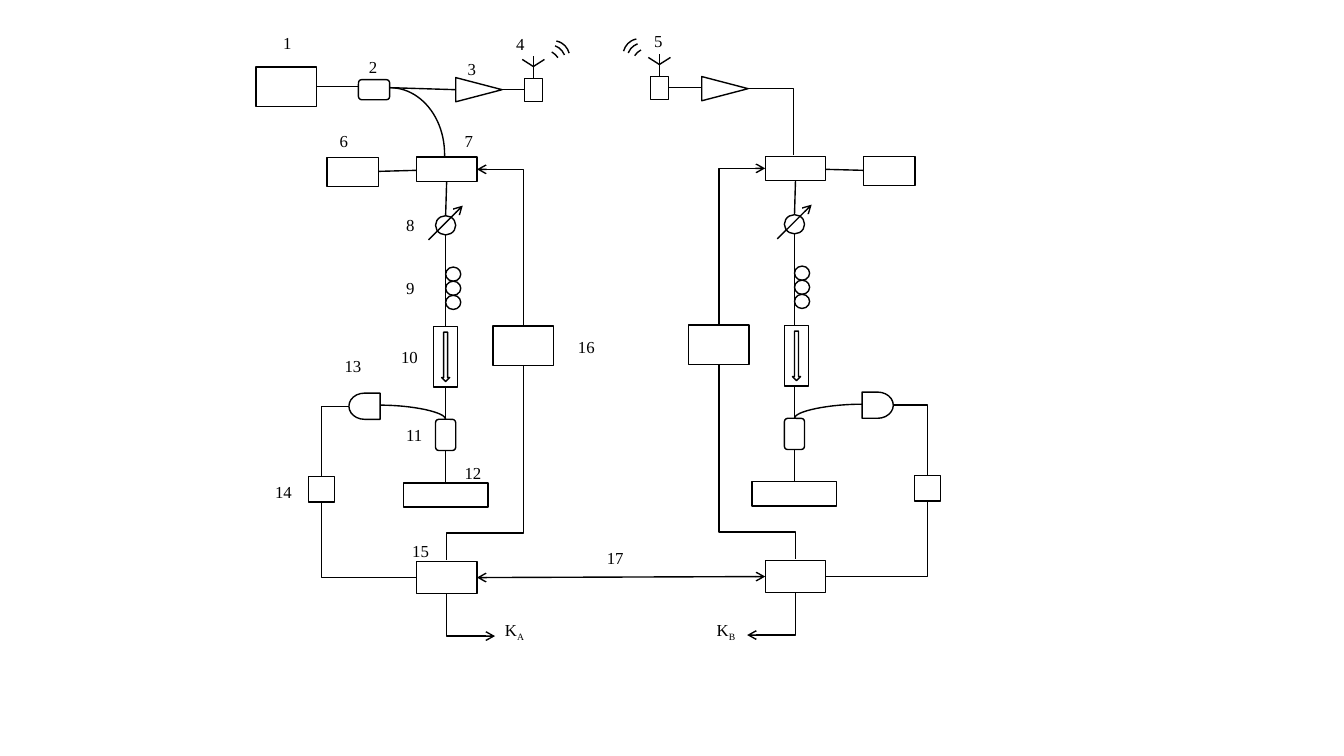
from dataclasses import dataclass

from lxml.etree import SubElement
from pptx import Presentation
from pptx.dml.color import RGBColor
from pptx.enum.shapes import MSO_CONNECTOR, MSO_SHAPE
from pptx.enum.text import MSO_AUTO_SIZE, PP_ALIGN
from pptx.oxml.ns import qn
from pptx.util import Inches, Pt


@dataclass(frozen=True)
class Theme:
    ink: RGBColor = RGBColor(0, 0, 0)
    font: str = "Times New Roman"
    label_size: int = 12
    line_width: int = 1


THEME = Theme()
LEFT, RIGHT = -1, 1

LABELS = [
    ("1", 2.71, 0.28), ("2", 3.56, 0.51), ("3", 4.54, 0.53), ("4", 5.02, 0.29),
    ("5", 6.39, 0.26), ("6", 3.27, 1.25), ("7", 4.51, 1.25), ("8", 3.93, 2.08),
    ("9", 3.93, 2.71), ("10", 3.88, 3.39), ("11", 3.93, 4.16), ("12", 4.51, 4.54),
    ("13", 3.32, 3.48), ("14", 2.63, 4.73), ("15", 3.99, 5.32), ("17", 5.92, 5.38),
]


def add_symbol(slide, kind, center, middle, width, height, rotation=0):
    """Draw an unfilled outline around the given centre point."""
    symbol = slide.shapes.add_shape(
        kind, Inches(center - width / 2), Inches(middle - height / 2),
        Inches(width), Inches(height))
    symbol.rotation = rotation
    symbol.shadow.inherit = False
    symbol.fill.background()
    symbol.line.color.rgb = THEME.ink
    symbol.line.width = Pt(THEME.line_width)
    return symbol


def add_arc(slide, center, middle, width, height, angles, rotation=0, mirrored=False):
    arc = add_symbol(slide, MSO_SHAPE.ARC, center, middle, width, height, rotation)
    arc.adjustments[0], arc.adjustments[1] = angles
    if mirrored:
        arc._element.spPr.find(qn("a:xfrm")).set("flipH", "1")


def add_line(slide, start, end, arrows=(), kind=MSO_CONNECTOR.STRAIGHT):
    """Connect two points; arrows names the ends (headEnd, tailEnd) that get one."""
    line = slide.shapes.add_connector(kind, *(Inches(value) for value in (*start, *end)))
    line.line.color.rgb = THEME.ink
    line.line.width = Pt(THEME.line_width)
    properties = line._element.spPr
    for name in arrows:
        SubElement(properties.find(qn("a:ln")), qn(f"a:{name}"), type="arrow")
    SubElement(properties, qn("a:effectLst"))
    return line


def add_bend(slide, start, end, arrows=(), preset="bentConnector2", turn=None):
    """Connect two points, leaving the start vertically; turn is the share of the way down."""
    across, down = end[0] - start[0], end[1] - start[1]
    center, middle = (start[0] + end[0]) / 2, (start[1] + end[1]) / 2
    half_width, half_height = abs(down) / 2, abs(across) / 2
    bend = add_line(slide, (center - half_width, middle - half_height),
                    (center + half_width, middle + half_height), arrows, MSO_CONNECTOR.ELBOW)
    properties = bend._element.spPr
    frame = properties.find(qn("a:xfrm"))
    frame.set("rot", str((90 if down > 0 else 270) * 60000))
    if across * down > 0:
        frame.set("flipV", "1")
    geometry = properties.find(qn("a:prstGeom"))
    geometry.set("prst", preset)
    if turn is not None:
        guides = geometry.find(qn("a:avLst"))
        if guides is None:
            guides = SubElement(geometry, qn("a:avLst"))
        SubElement(guides, qn("a:gd"), name="adj1", fmla=f"val {round(turn * 100000)}")


def add_label(slide, text, left, top, width=0.44, subscript="", align=PP_ALIGN.LEFT):
    box = slide.shapes.add_textbox(Inches(left), Inches(top), Inches(width), Inches(0.3))
    box.text_frame.word_wrap = True
    box.text_frame.auto_size = MSO_AUTO_SIZE.SHAPE_TO_FIT_TEXT
    para = box.text_frame.paragraphs[0]
    para.text = text
    para.alignment = align
    if subscript:
        span = para.add_run()
        span.text = subscript
        span.font._element.set("baseline", "-25000")
    for span in para.runs:
        span.font.name = THEME.font
        span.font.size = Pt(THEME.label_size)
        span.font.color.rgb = THEME.ink


def draw_forked_box(slide, axis, top, facing):
    """Draw a small box with a forked line on top and three arcs beside it."""
    add_symbol(slide, MSO_SHAPE.RECTANGLE, axis, top + 0.115, 0.18, 0.23)
    add_line(slide, (axis, top), (axis, top - 0.22))
    for side in (LEFT, RIGHT):
        add_line(slide, (axis, top - 0.12), (axis + side * 0.11, top - 0.19))
    arcs = [(0.2, 0, (167.91, 206.94)), (0.16, 20, (162, 189.87)), (0.11, -33, (197.86, 0))]
    for distance, rotation, angles in arcs:
        add_arc(slide, axis + facing * distance, top - distance - 0.01, 0.32, 0.33,
                angles, facing * rotation % 360, facing == LEFT)


def draw_left_row(slide, left, top):
    """Place the shapes labelled 1 to 4 and the arc leading down."""
    middle = top + 0.23
    add_symbol(slide, MSO_SHAPE.RECTANGLE, left + 0.3, top + 0.2, 0.6, 0.39)
    add_line(slide, (left + 0.6, top + 0.2), (left + 1.02, top + 0.2))
    add_symbol(slide, MSO_SHAPE.ROUNDED_RECTANGLE, left + 1.17, middle, 0.31, 0.2)
    add_line(slide, (left + 1.33, top + 0.21), (left + 1.98, middle))
    add_arc(slide, left + 1.33, top + 0.87, 1.08, 1.32, (162, 1.43))
    add_symbol(slide, MSO_SHAPE.ISOSCELES_TRIANGLE, left + 2.21, middle, 0.24, 0.46, 90)
    add_line(slide, (left + 2.44, middle), (left + 2.66, middle))
    draw_forked_box(slide, left + 2.75, top + 0.12, RIGHT)


def draw_right_row(slide, left, top):
    """Place the shape labelled 5, the triangle and the line leading down."""
    middle = top + 0.11
    draw_forked_box(slide, left + 0.09, top, LEFT)
    add_line(slide, (left + 0.18, middle), (left + 0.51, middle))
    add_symbol(slide, MSO_SHAPE.ISOSCELES_TRIANGLE, left + 0.74, middle + 0.01, 0.24, 0.46, 90)
    add_bend(slide, (left + 1.42, top + 0.78), (left + 0.97, top + 0.12))


def draw_column(slide, axis, top, side, outer_distance):
    """Draw one column of shapes; side is the direction of its outer branch."""
    line_axis = axis - 0.01
    box = MSO_SHAPE.RECTANGLE
    inner_axis = axis - side * 0.76
    outer_axis = axis + side * outer_distance
    arrow_axis = axis + side * 0.01

    # Top boxes: 6 and 7
    add_symbol(slide, box, axis, top + 0.12, 0.6, 0.24)
    add_symbol(slide, box, axis + side * 0.93, top + 0.145, 0.51, 0.29)
    add_line(slide, (axis + side * 0.3, top + 0.13), (axis + side * 0.67, top + 0.14))

    # Circles and boxed arrow: 8 to 10
    add_line(slide, (axis, top + 0.24), (line_axis, top + 0.58))
    add_symbol(slide, MSO_SHAPE.OVAL, line_axis, top + 0.675, 0.2, 0.19)
    add_line(slide, (line_axis - 0.17, top + 0.82), (line_axis + 0.17, top + 0.48), ["tailEnd"])
    add_line(slide, (line_axis, top + 0.77), (line_axis, top + 1.68))
    for row in range(3):
        add_symbol(slide, MSO_SHAPE.OVAL, line_axis + 0.075, top + 1.16 + row * 0.14, 0.15, 0.14)
    add_symbol(slide, box, arrow_axis, top + 1.98, 0.24, 0.6)
    add_symbol(slide, MSO_SHAPE.DOWN_ARROW, arrow_axis, top + 1.98, 0.08, 0.49)

    # Rounded box and wide box: 11 and 12
    add_line(slide, (line_axis, top + 2.28), (line_axis, top + 2.6))
    add_symbol(slide, MSO_SHAPE.ROUNDED_RECTANGLE, line_axis, top + 2.755, 0.2, 0.31)
    add_line(slide, (line_axis, top + 2.91), (line_axis, top + 3.23))
    add_symbol(slide, box, line_axis, top + 3.35, 0.84, 0.24)

    # Outer branch: 13 to 15
    add_bend(slide, (line_axis, top + 2.6), (axis + side * 0.66, top + 2.46),
             preset="curvedConnector2")
    add_symbol(slide, MSO_SHAPE.FLOWCHART_DELAY, axis + side * 0.815, top + 2.47, 0.31, 0.26,
               180 if side == LEFT else 0)
    add_bend(slide, (outer_axis, top + 3.17), (axis + side * 0.97, top + 2.47))
    add_symbol(slide, box, outer_axis, top + 3.295, 0.26, 0.25)
    add_bend(slide, (outer_axis, top + 3.42), (axis + side * 0.3, top + 4.17))
    add_symbol(slide, box, axis, top + 4.17, 0.6, 0.32)

    # Inner branch: 16, and the arrow to K
    add_symbol(slide, box, inner_axis, top + 1.87, 0.6, 0.39)
    add_bend(slide, (inner_axis, top + 1.67), (axis - side * 0.3, top + 0.12), ["tailEnd"])
    add_bend(slide, (inner_axis, top + 2.06), (axis, top + 4),
             preset="bentConnector3", turn=0.86)
    add_bend(slide, (axis, top + 4.33), (axis - side * 0.48, top + 4.75), ["tailEnd"])


def draw_labels(slide):
    for text, left, top in LABELS:
        add_label(slide, text, left, top)
    add_label(slide, "16", 5.59, 3.29, 0.45, align=PP_ALIGN.CENTER)
    add_label(slide, "K", 4.91, 6.1, 0.57, "A")
    add_label(slide, "K", 7.01, 6.1, 0.48, "B")


def main():
    deck = Presentation()
    deck.slide_width, deck.slide_height = Inches(13.33), Inches(7.5)
    page = deck.slides.add_slide(deck.slide_layouts[6])
    draw_left_row(page, 2.54, 0.66)
    draw_right_row(page, 6.45, 0.76)
    draw_column(page, 4.43, 1.56, LEFT, 1.24)
    draw_column(page, 7.89, 1.55, RIGHT, 1.31)
    add_line(page, (4.73, 5.73), (7.59, 5.72), ["headEnd", "tailEnd"])
    draw_labels(page)
    deck.save("out.pptx")


if __name__ == "__main__":
    main()
